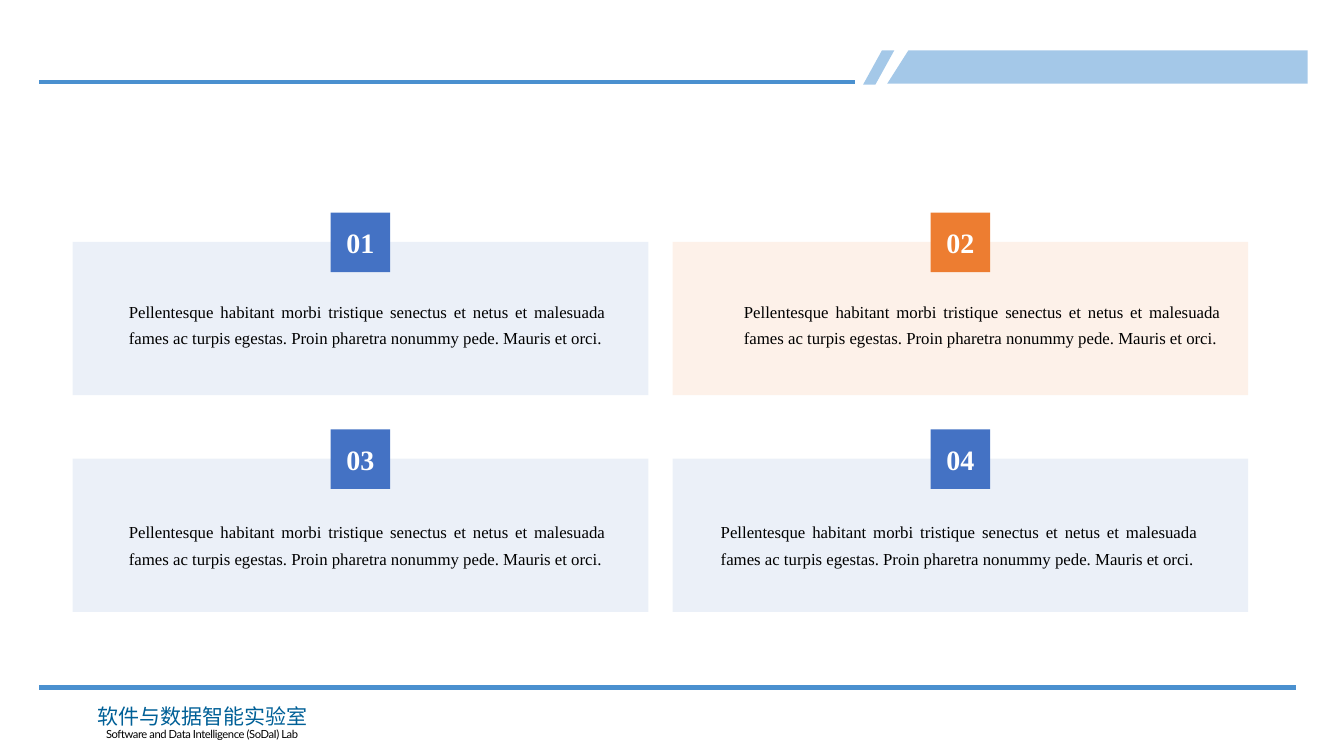
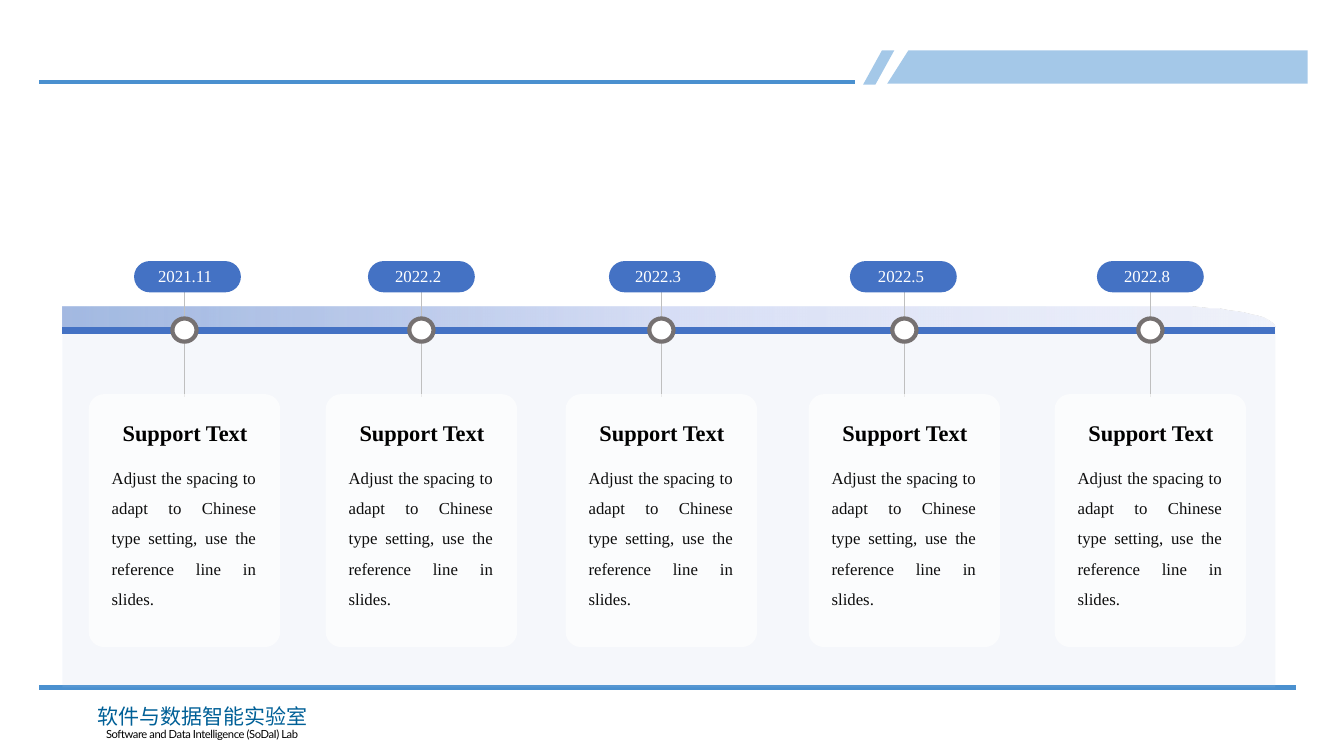
import math
from dataclasses import dataclass

from pptx import Presentation
from pptx import util as u
from pptx.dml.color import RGBColor
from pptx.enum import shapes, text
from pptx.oxml import ns
from lxml import etree

PX = 9144


@dataclass(frozen=True)
class Theme:
    rule: str = "4A90CF"
    band: str = "3786CD"
    lab_blue: str = "006097"
    black: str = "000000"
    white: str = "FFFFFF"
    ink: str = "0D0D0D"
    blue: str = "4472C4"
    orange: str = "ED7D31"
    backdrop: str = "B4C7E7"
    stem: str = "BFBFBF"
    ring: str = "767171"
    ribbon: tuple = ((0, "4472C4", 49), (50, "C0CBF0", 62), (100, "E0E5F7", 49))
    serif: str = "Times New Roman"
    sans: str = "Lato"
    chinese: str = "Noto Sans CJK SC"
    body_size: int = 12
    title_size: int = 16
    badge_size: int = 20
    lab_size: int = 15
    caption_size: int = 8


THEME = Theme()
ALIGN = text.PP_ALIGN
SHAPE = shapes.MSO_SHAPE

CARD_TEXT = (
    "Pellentesque habitant morbi tristique senectus et netus et malesuada "
    "fames ac turpis egestas. Proin pharetra nonummy pede. Mauris et orci."
)
STOP_TEXT = (
    "Adjust the spacing to adapt to Chinese type setting, "
    "use the reference line in slides."
)
CARDS = (
    ("01", THEME.blue, 46),
    ("02", THEME.orange, 61),
    ("03", THEME.blue, 46),
    ("04", THEME.blue, 38),
)
STOPS = (
    ("2021.11", 183, 133),
    ("2022.2", 418, 365),
    ("2022.3", 656, 604),
    ("2022.5", 897, 843),
    ("2022.8", 1141, 1088),
)


def px(*lengths):
    return [u.Emu(round(length * PX)) for length in lengths]


def add_node(parent, tag, **attributes):
    return etree.SubElement(parent, ns.qn(tag), attributes)


def paint(shape, color, alpha=100, line=None):
    shape.shadow.inherit = False
    shape.fill.solid()
    shape.fill.fore_color.rgb = RGBColor.from_string(color)
    if alpha < 100:
        solid = shape.element.spPr.find(ns.qn("a:solidFill"))
        add_node(solid[0], "a:alpha", val=str(alpha * 1000))
    if line:
        shape.line.color.rgb = RGBColor.from_string(line[0])
        shape.line.width = u.Pt(line[1])
    else:
        shape.line.fill.background()


def paint_gradient(shape, stops):
    shape.shadow.inherit = False
    shape.line.fill.background()
    shape.fill.gradient()
    shape.fill.gradient_angle = 0
    stop_list = shape.element.spPr.find(ns.qn("a:gradFill")).find(ns.qn("a:gsLst"))
    for stop in list(stop_list):
        stop_list.remove(stop)
    for position, color, alpha in stops:
        stop = add_node(stop_list, "a:gs", pos=str(position * 1000))
        add_node(add_node(stop, "a:srgbClr", val=color), "a:alpha", val=str(alpha * 1000))


def add_block(slide, kind, box, color, alpha=100, line=None, adjustment=None):
    shape = slide.shapes.add_shape(kind, *px(*box))
    if adjustment is not None:
        shape.adjustments[0] = adjustment
    paint(shape, color, alpha, line)
    return shape


def add_outline(slide, points):
    builder = slide.shapes.build_freeform(*points[0], scale=PX)
    builder.add_line_segments(points[1:], close=True)
    return builder.convert_to_shape()


def add_line(slide, start, end, color, width):
    connector = slide.shapes.add_connector(
        shapes.MSO_CONNECTOR.STRAIGHT, *px(*start, *end)
    )
    connector.line.color.rgb = RGBColor.from_string(color)
    connector.line.width = u.Pt(width)
    add_node(connector.element.spPr, "a:effectLst")


def write(shape, words, size, color, font=THEME.serif, bold=False,
          align=ALIGN.LEFT, spacing=None, wrap=True, tracking=None):
    frame = shape.text_frame
    frame.word_wrap = wrap
    paragraph = frame.paragraphs[0]
    paragraph.alignment = align
    if spacing:
        paragraph.line_spacing = spacing
    run = paragraph.add_run()
    run.text = words
    run.font.size = u.Pt(size)
    run.font.bold = bold
    run.font.name = font
    run.font.color.rgb = RGBColor.from_string(color)
    properties = run.font._element
    add_node(properties, "a:ea", typeface=font)
    if tracking:
        properties.set("spc", str(tracking))


def add_text(slide, box, words, size, color, **style):
    write(slide.shapes.add_textbox(*px(*box)), words, size, color, **style)


def add_header(slide, left, top):
    height, right = 33, left + 1258
    add_outline(slide, [(left + 862, top), (right, top),
                        (right, top + height), (left + 841, top + height)
                        ])
    paint(slide.shapes[-1], THEME.band, 45)
    add_block(slide, SHAPE.PARALLELOGRAM, (left + 817, top, 31, height + 1),
              THEME.band, 45, adjustment=0.605)
    add_line(slide, (left, top + 31), (left + 809, top + 31), THEME.rule, 3)


def add_footer(slide, left, top):
    add_line(slide, (left, top), (left + 1246, top), THEME.rule, 3)
    add_text(slide, (left + 47, top + 11, 229, 35), "软件与数据智能实验室",
             THEME.lab_size, THEME.lab_blue, font=THEME.chinese,
             align=ALIGN.CENTER, wrap=False)
    add_text(slide, (left + 24, top + 35, 275, 24),
             "Software and Data Intelligence (SoDaI) Lab",
             THEME.caption_size, THEME.black, font=THEME.sans,
             align=ALIGN.CENTER, wrap=False, tracking=-30)


def add_framed_slide(presentation):
    slide = presentation.slides.add_slide(presentation.slide_layouts[6])
    add_header(slide, 39, 50)
    add_footer(slide, 39, 682)
    return slide


def add_card(slide, box, number, color, text_left, text_top):
    left, top, width, _ = box
    badge = 59
    add_block(slide, SHAPE.RECTANGLE, box, color, 10)
    add_text(slide, (left + text_left, top + text_top, 493, 81), CARD_TEXT,
             THEME.body_size, THEME.black, align=ALIGN.JUSTIFY, spacing=1.3)
    square = add_block(
        slide, SHAPE.RECTANGLE,
        (left + (width - badge) // 2, top - badge // 2, badge, badge), color)
    write(square, number, THEME.badge_size, THEME.white, bold=True,
          align=ALIGN.CENTER, wrap=False)


def add_card_grid(slide, left, top):
    width, height, column_gap, row_gap = 571, 152, 24, 63
    for index, (number, color, text_left) in enumerate(CARDS):
        row, column = divmod(index, 2)
        box = (left + column * (width + column_gap),
               top + row * (height + row_gap), width, height)
        add_card(slide, box, number, color, text_left, 48 + 4 * row)


def add_ribbon(slide, left, top, width, height):
    radius, steps = 105, 16
    center = left + width - radius
    bottom = top + height
    angles = [math.pi / 2 * step / steps for step in range(steps + 1)]
    curve = [(center + radius * math.sin(angle), bottom - height * math.cos(angle))
             for angle in angles]
    ribbon = add_outline(slide, [(left, top), *curve, (left, bottom)])
    paint_gradient(ribbon, THEME.ribbon)


def add_stop(slide, center, axis, date, pill_left):
    add_line(slide, (center, axis - 58), (center, axis + 66), THEME.stem, 1)
    add_block(slide, SHAPE.OVAL, (center - 12, axis - 12, 24, 23),
              THEME.white, line=(THEME.ring, 3))
    add_block(slide, SHAPE.ROUNDED_RECTANGLE, (center - 95, axis + 63, 190, 251),
              THEME.white, 68, adjustment=0.081)
    add_block(slide, SHAPE.ROUNDED_RECTANGLE, (pill_left, axis - 69, 106, 31),
              THEME.blue, adjustment=0.5)
    add_text(slide, (center - 36, axis - 69, 87, 30), date,
             THEME.body_size, THEME.white)
    add_text(slide, (center - 81, axis + 83, 163, 37), "Support Text",
             THEME.title_size, THEME.black, bold=True, align=ALIGN.CENTER)
    add_text(slide, (center - 82, axis + 121, 163, 128), STOP_TEXT,
             THEME.body_size, THEME.ink, align=ALIGN.JUSTIFY, spacing=1.5)


def add_timeline(slide, left, axis, width):
    add_ribbon(slide, left, axis - 24, width, 21)
    add_block(slide, SHAPE.RECTANGLE, (left, axis, width, 354), THEME.backdrop, 13)
    add_line(slide, (left, axis), (left + width, axis), THEME.blue, 4.5)
    for date, center, pill_left in STOPS:
        add_stop(slide, center, axis, date, pill_left)


def main():
    presentation = Presentation()
    presentation.slide_width, presentation.slide_height = px(1333, 750)
    add_card_grid(add_framed_slide(presentation), 72, 240)
    add_timeline(add_framed_slide(presentation), 62, 328, 1203)
    presentation.save("out.pptx")


if __name__ == "__main__":
    main()
